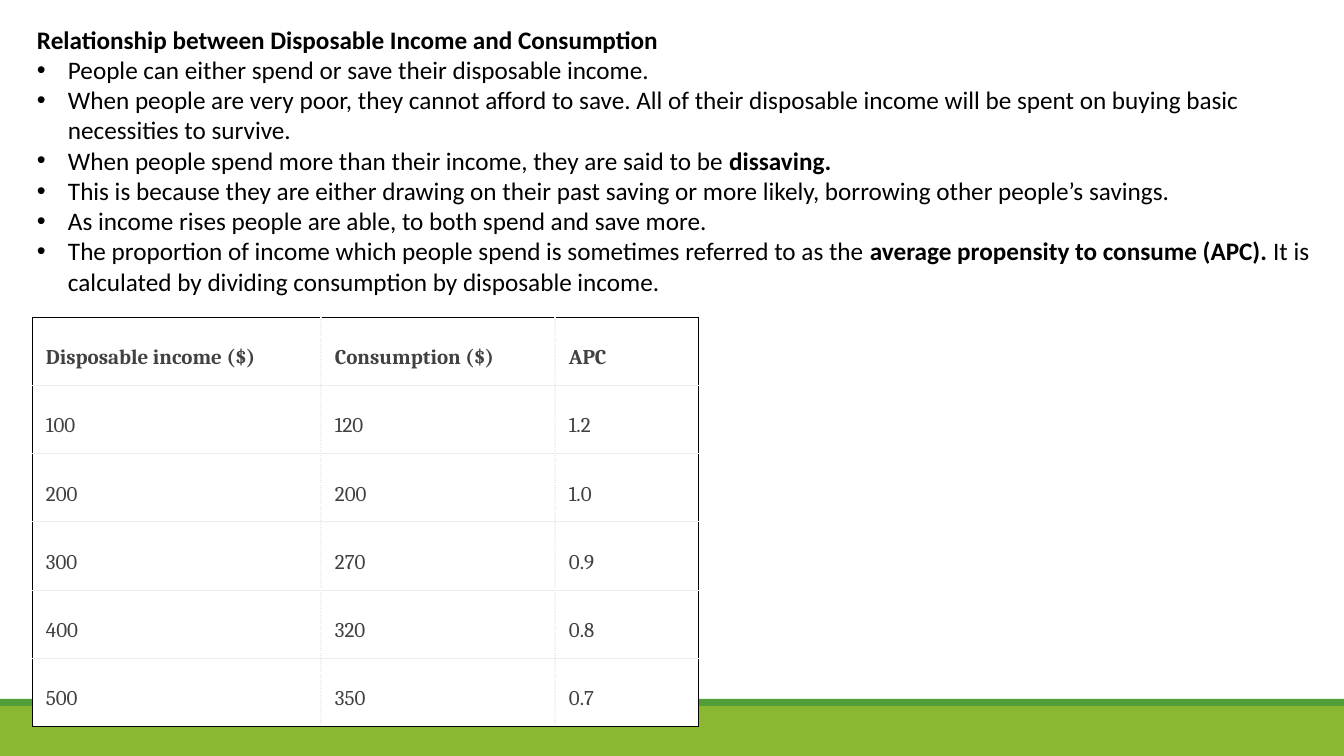
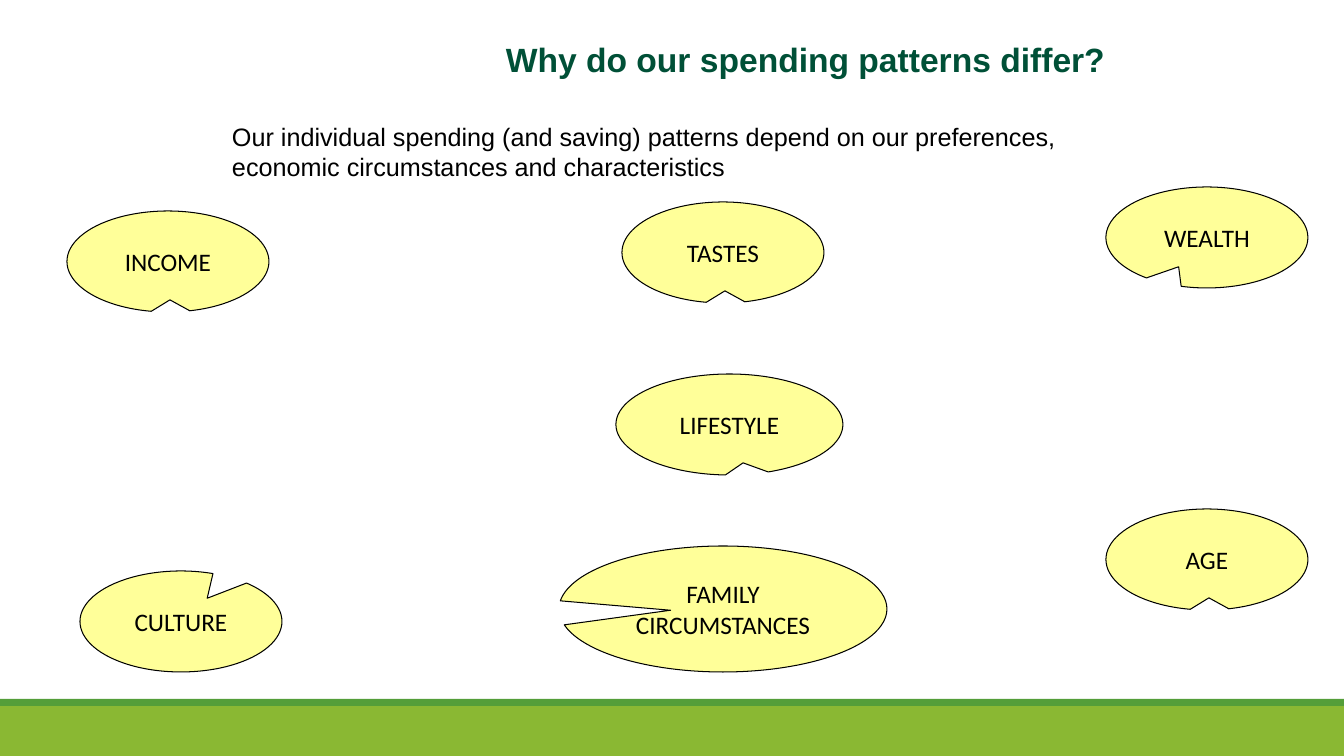
import dataclasses

import lxml.etree
import pptx
import pptx.dml.color
import pptx.enum.shapes
import pptx.enum.text
import pptx.oxml.ns
import pptx.util

SLIDE_WIDTH, SLIDE_HEIGHT = 1344, 756
EMU_PER_PX = 12192000 / SLIDE_WIDTH


@dataclasses.dataclass(frozen=True)
class Theme:
    black: str = "000000"
    white: str = "FFFFFF"
    band: str = "8AB833"
    band_edge: str = "549E39"
    title: str = "005037"
    callout: str = "FFFF99"
    table_text: str = "424142"
    grid: str = "EEEEEE"
    body_font: str = "Calibri"
    title_font: str = "Arial"
    table_font: str = "Cambria"
    title_size: int = 24
    body_size: int = 18
    table_size: int = 15
    outline: float = 0.75
    grid_line: float = 1


@dataclasses.dataclass(frozen=True)
class Box:
    left: int
    top: int
    width: int
    height: int

    def emu(self):
        return [px(value) for value in dataclasses.astuple(self)]


THEME = Theme()
ANCHOR = pptx.enum.text.MSO_ANCHOR
SHAPE = pptx.enum.shapes.MSO_SHAPE

HEADING = "Relationship between Disposable Income and Consumption"
POINTS = [
    "People can either spend or save their disposable income.",
    "When people are very poor, they cannot afford to save. All of their disposable income "
    "will be spent on buying basic necessities to survive.",
    "When people spend more than their income, they are said to be **dissaving.**",
    "This is because they are either drawing on their past saving or more likely, "
    "borrowing other people’s savings.",
    "As income rises people are able, to both spend and save more.",
    "The proportion of income which people spend is sometimes referred to as the "
    "**average propensity to consume (APC).** It is calculated by dividing consumption "
    "by disposable income.",
]
APC_ROWS = [
    ("Disposable income ($)", "Consumption ($)", "APC"),
    ("100", "120", "1.2"),
    ("200", "200", "1.0"),
    ("300", "270", "0.9"),
    ("400", "320", "0.8"),
    ("500", "350", "0.7"),
]
COLUMN_WIDTHS = (289, 234, 144)
FACTORS = [
    ("INCOME", Box(67, 211, 202, 101), (0.01, 0.38)),
    ("LIFESTYLE", Box(616, 374, 227, 101), (0.06, 0.38)),
    ("TASTES", Box(622, 202, 202, 101), (0.01, 0.38)),
    ("AGE", Box(1106, 509, 202, 101), (0.01, 0.38)),
    ("WEALTH", Box(1106, 187, 202, 101), (-0.14, 0.29)),
    ("FAMILY CIRCUMSTANCES", Box(559, 546, 328, 126), (-0.16, 0.01)),
    ("CULTURE", Box(80, 571, 202, 101), (0.13, -0.23)),
]


def px(value):
    return pptx.util.Emu(round(value * EMU_PER_PX))


def rgb(value):
    return pptx.dml.color.RGBColor.from_string(value)


def add_element(parent, tag, **attributes):
    return lxml.etree.SubElement(parent, pptx.oxml.ns.qn(tag), attributes)


def style_runs(paragraph, font, size, color, bold=False):
    for run in paragraph.runs:
        run.font.name = font
        run.font.size = pptx.util.Pt(size)
        run.font.color.rgb = rgb(color)
        if run.font.bold is None:
            run.font.bold = bold


def set_margins(target, horizontal, vertical):
    target.margin_left = target.margin_right = px(horizontal)
    target.margin_top = target.margin_bottom = px(vertical)


def add_text_box(slide, box, horizontal=5, anchor=ANCHOR.TOP):
    text_frame = slide.shapes.add_textbox(*box.emu()).text_frame
    text_frame.word_wrap = True
    text_frame.vertical_anchor = anchor
    set_margins(text_frame, horizontal, 5)
    return text_frame


def add_filled_shape(slide, kind, box, fill):
    shape = slide.shapes.add_shape(kind, *box.emu())
    shape.shadow.inherit = False
    shape.fill.solid()
    shape.fill.fore_color.rgb = rgb(fill)
    shape.line.fill.background()
    return shape


def add_band(slide, box):
    edge = 7
    body = Box(box.left, box.top + edge, box.width, box.height - edge)
    add_filled_shape(slide, SHAPE.RECTANGLE, body, THEME.band)
    strip = Box(box.left, box.top, box.width, edge)
    add_filled_shape(slide, SHAPE.RECTANGLE, strip, THEME.band_edge)


def add_slide(presentation):
    slide = presentation.slides.add_slide(presentation.slide_layouts[6])
    add_band(slide, Box(0, 699, SLIDE_WIDTH, 57))
    return slide


def set_bullet(paragraph, indent):
    properties = paragraph._p.get_or_add_pPr()
    properties.set("marL", str(px(indent)))
    properties.set("indent", str(-px(indent)))
    add_element(add_element(properties, "a:buClr"), "a:srgbClr", val=THEME.black)
    add_element(properties, "a:buFont", typeface="Arial")
    add_element(properties, "a:buChar", char="•")


def add_points(slide, box, heading, points):
    text_frame = add_text_box(slide, box)
    text_frame.text = heading
    text_frame.paragraphs[0].runs[0].font.bold = True
    for point in points:
        paragraph = text_frame.add_paragraph()
        set_bullet(paragraph, 31)
        for index, part in enumerate(point.split("**")):
            if part:
                run = paragraph.add_run()
                run.text = part
                run.font.bold = index % 2 == 1
    for paragraph in text_frame.paragraphs:
        style_runs(paragraph, THEME.body_font, THEME.body_size, THEME.black)


def set_borders(cell, outer_sides):
    properties = cell._tc.get_or_add_tcPr()
    for index, side in enumerate("LRTB"):
        outer = side in outer_sides
        width = THEME.outline if outer else THEME.grid_line
        line = add_element(properties, f"a:ln{side}", w=str(pptx.util.Pt(width)))
        fill = add_element(line, "a:solidFill")
        add_element(fill, "a:srgbClr", val=THEME.black if outer else THEME.grid)
        dotted = side in "LR" and not outer
        add_element(line, "a:prstDash", val="sysDot" if dotted else "solid")
        properties.insert(index, line)


def add_data_table(slide, box, rows, column_widths):
    table = slide.shapes.add_table(len(rows), len(column_widths), *box.emu()).table
    table.first_row = table.horz_banding = False
    for column, width in zip(table.columns, column_widths):
        column.width = px(width)
    for row_index, values in enumerate(rows):
        table.rows[row_index].height = px(box.height / len(rows))
        for column_index, value in enumerate(values):
            cell = table.cell(row_index, column_index)
            cell.fill.solid()
            cell.fill.fore_color.rgb = rgb(THEME.white)
            set_margins(cell, 14, 14)
            edges = {
                "L": column_index == 0,
                "R": column_index == len(values) - 1,
                "T": row_index == 0,
                "B": row_index == len(rows) - 1,
            }
            set_borders(cell, [side for side, outer in edges.items() if outer])
            cell.text_frame.text = value
            paragraph = cell.text_frame.paragraphs[0]
            paragraph.line_spacing = 1.6
            style_runs(paragraph, THEME.table_font, THEME.table_size,
                       THEME.table_text, row_index == 0)


def add_title(slide, box, text):
    text_frame = add_text_box(slide, box, 10, ANCHOR.BOTTOM)
    text_frame.text = text
    paragraph = text_frame.paragraphs[0]
    paragraph.line_spacing = 0.85
    style_runs(paragraph, THEME.title_font, THEME.title_size, THEME.title, True)


def add_introduction(slide, box, text):
    text_frame = add_text_box(slide, box)
    text_frame.text = text
    style_runs(text_frame.paragraphs[0], THEME.title_font, THEME.body_size, THEME.black)


def add_callout(slide, box, label, tip):
    shape = add_filled_shape(slide, SHAPE.OVAL_CALLOUT, box, THEME.callout)
    shape.line.color.rgb = rgb(THEME.black)
    shape.line.width = pptx.util.Pt(THEME.outline)
    shape.adjustments[0], shape.adjustments[1] = tip
    text_frame = shape.text_frame
    text_frame.word_wrap = True
    text_frame.vertical_anchor = ANCHOR.MIDDLE
    set_margins(text_frame, 5, 5)
    text_frame.text = label
    paragraph = text_frame.paragraphs[0]
    paragraph.alignment = pptx.enum.text.PP_ALIGN.CENTER
    style_runs(paragraph, THEME.body_font, THEME.body_size, THEME.black)


def build_income_slide(presentation):
    slide = add_slide(presentation)
    add_points(slide, Box(32, 19, 1289, 275), HEADING, POINTS)
    add_data_table(slide, Box(32, 317, sum(COLUMN_WIDTHS), 405), APC_ROWS, COLUMN_WIDTHS)


def build_spending_slide(presentation):
    slide = add_slide(presentation)
    add_title(slide, Box(496, 14, 848, 70), "Why do our spending patterns differ?")
    add_introduction(
        slide, Box(227, 116, 899, 69),
        "Our individual spending (and saving) patterns depend on our preferences, "
        "economic circumstances and characteristics")
    for label, box, tip in FACTORS:
        add_callout(slide, box, label, tip)


def main():
    presentation = pptx.Presentation()
    presentation.slide_width = px(SLIDE_WIDTH)
    presentation.slide_height = px(SLIDE_HEIGHT)
    build_income_slide(presentation)
    build_spending_slide(presentation)
    presentation.save("out.pptx")


if __name__ == "__main__":
    main()
